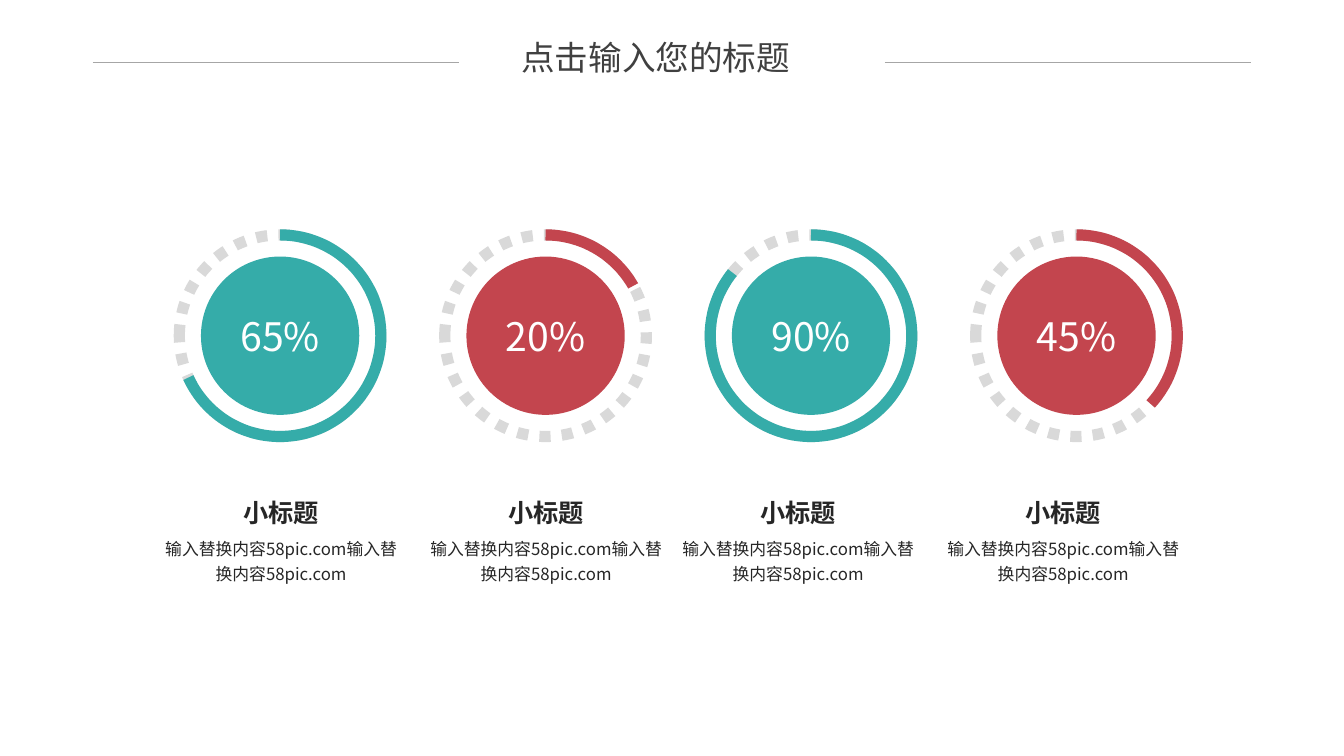
import pptx
import pptx.dml.color
import pptx.enum.dml
import pptx.enum.shapes
import pptx.enum.text
import pptx.oxml
import pptx.oxml.ns
import pptx.util

Cm = pptx.util.Cm
Pt = pptx.util.Pt
Shape = pptx.enum.shapes.MSO_SHAPE
Anchor = pptx.enum.text.MSO_ANCHOR

FONT = "Noto Sans CJK JP"
COLOURS = {"teal": "35ACA9", "red": "C3454E", "track": "D9D9D9", "rule": "A6A6A6",
           "title": "404040", "body": "262626", "white": "FFFFFF"}

# Value, colour, angle where the arc ends, left edge of the caption in cm
GAUGES = [("65%", "teal", 155.46, 3.91),
          ("20%", "red", 330.39, 10.59),
          ("90%", "teal", 218.77, 16.94),
          ("45%", "red", 42.6, 23.62)]
RING_LEFT, RING_TOP, RING_STEP = 4.52, 5.92, 6.69
RING_SIZE, DISC_SIZE = 5.08, 3.99
ARC_START = 270
ADJUSTMENT_PER_DEGREE = 0.6
CAPTION_WIDTH = 6.35
RULE_LEFTS, RULE_WIDTH, RULE_TOP = (2.34, 22.3), 9.22, 1.56


def colour(name):
    return pptx.dml.color.RGBColor.from_string(COLOURS[name])


def write(shape, text, size, colour_name, bold=False, spacing=None):
    para = shape.text_frame.paragraphs[0]
    para.alignment = pptx.enum.text.PP_ALIGN.CENTER
    para.line_spacing = spacing
    span = para.add_run()
    span.text = text
    for name, value in {"size": Pt(size), "bold": bold, "name": FONT}.items():
        setattr(span.font, name, value)
    span.font.color.rgb = colour(colour_name)
    east_asian = pptx.oxml.parse_xml(
        f'<a:ea {pptx.oxml.ns.nsdecls("a")} typeface="{FONT}"/>')
    span.font._element.append(east_asian)


def add_text(shapes, left, top, width, height, text, size, colour_name,
             frame_format=None, **style):
    box = shapes.add_textbox(Cm(left), Cm(top), Cm(width), Cm(height))
    settings = {"word_wrap": True,
                "auto_size": pptx.enum.text.MSO_AUTO_SIZE.SHAPE_TO_FIT_TEXT}
    for name, value in (settings | (frame_format or {})).items():
        setattr(box.text_frame, name, value)
    write(box, text, size, colour_name, **style)


def add_round(shapes, kind, left, top, size):
    shape = shapes.add_shape(kind, Cm(left), Cm(top), Cm(size), Cm(size))
    shape.shadow.inherit = False
    return shape


def add_outline(shapes, kind, left, colour_name):
    shape = add_round(shapes, kind, left, RING_TOP, RING_SIZE)
    shape.fill.background()
    shape.line.color.rgb = colour(colour_name)
    shape.line.width = Pt(8)
    return shape


def add_gauge(page, left, value, colour_name, arc_end):
    """Draw a dotted track, the arc over it and a disc with the value."""
    shapes = page.shapes.add_group_shape().shapes
    track = add_outline(shapes, Shape.OVAL, left, "track")
    track.line.dash_style = pptx.enum.dml.MSO_LINE.ROUND_DOT

    arc = add_outline(shapes, Shape.ARC, left, colour_name)
    for index, angle in enumerate((ARC_START, arc_end)):
        arc.adjustments[index] = angle * ADJUSTMENT_PER_DEGREE

    inset = (RING_SIZE - DISC_SIZE) / 2
    disc = add_round(shapes, Shape.OVAL, left + inset, RING_TOP + inset, DISC_SIZE)
    disc.fill.solid()
    disc.fill.fore_color.rgb = colour(colour_name)
    disc.line.fill.background()
    disc.text_frame.vertical_anchor = Anchor.MIDDLE
    write(disc, value, 28, "white")


def add_caption(page, left):
    shapes = page.shapes.add_group_shape().shapes
    add_text(shapes, left, 13.36, CAPTION_WIDTH, 1.42,
             "输入替换内容58pic.com输入替换内容58pic.com", 12, "body", spacing=1.2)
    add_text(shapes, left, 12.4, CAPTION_WIDTH, 1.02, "小标题", 18, "body", bold=True)


def add_rule(shapes, left):
    rule = shapes.add_connector(pptx.enum.shapes.MSO_CONNECTOR.STRAIGHT, Cm(left),
                                Cm(RULE_TOP), Cm(left + RULE_WIDTH), Cm(RULE_TOP))
    rule.line.color.rgb = colour("rule")
    rule.line.width = Pt(0.5)
    no_effects = pptx.oxml.parse_xml(f'<a:effectLst {pptx.oxml.ns.nsdecls("a")}/>')
    rule._element.spPr.append(no_effects)


def add_title(page):
    margins = {f"margin_{side}": 0 for side in ("left", "top", "right", "bottom")}
    add_text(page.shapes, 11.33, 0.94, 10.39, 1.02, "点击输入您的标题", 24, "title",
             frame_format=margins | {"vertical_anchor": Anchor.MIDDLE})
    rules = page.shapes.add_group_shape().shapes
    for left in RULE_LEFTS:
        add_rule(rules, left)


def main():
    deck = pptx.Presentation()
    deck.slide_width, deck.slide_height = Cm(33.87), Cm(19.05)
    page = deck.slides.add_slide(deck.slide_layouts[6])
    for index, (value, colour_name, arc_end, caption_left) in enumerate(GAUGES):
        add_gauge(page, RING_LEFT + index * RING_STEP, value, colour_name, arc_end)
        add_caption(page, caption_left)
    add_title(page)
    deck.save("out.pptx")


if __name__ == "__main__":
    main()
